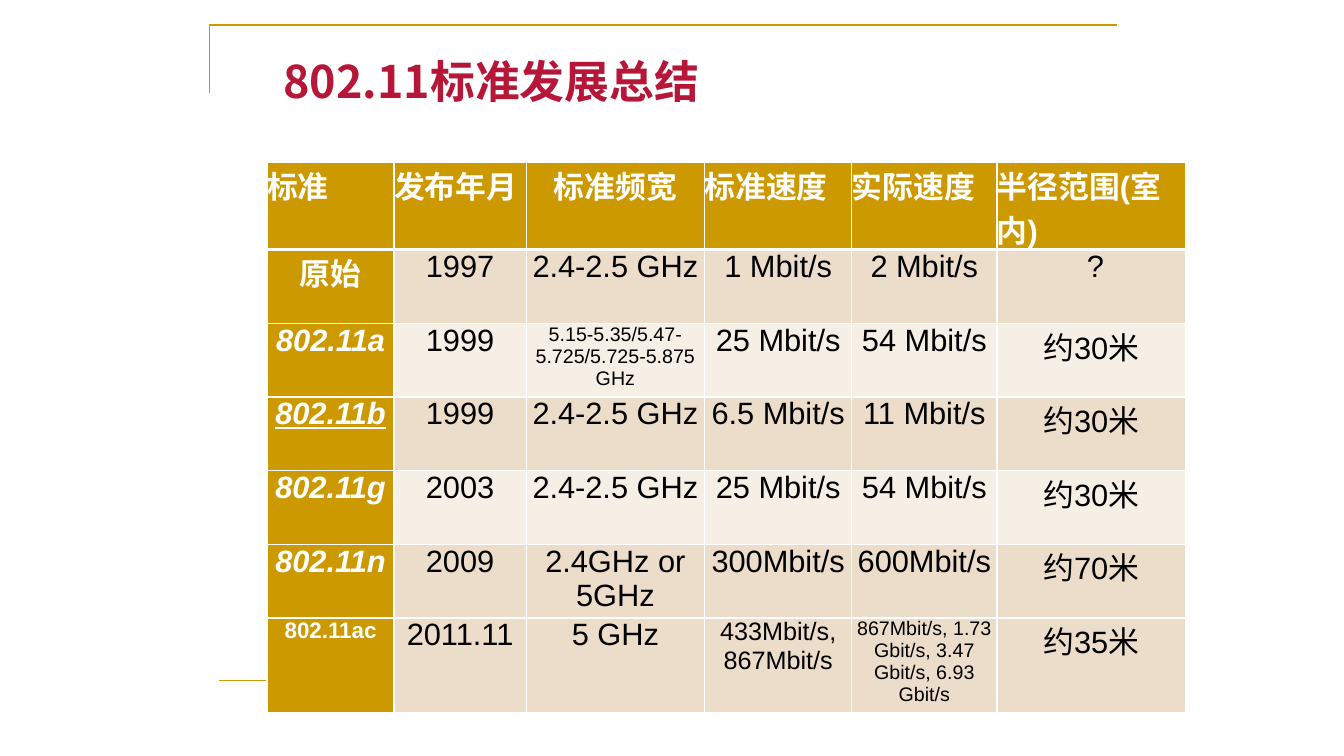
from dataclasses import dataclass

from lxml import etree
from pptx import Presentation
from pptx import util as u
from pptx.dml.color import RGBColor
from pptx.enum import shapes, text
from pptx.oxml.ns import qn


@dataclass(frozen=True)
class Theme:
    """Colours, fonts and type sizes of the slide."""
    gold: str = "CC9900"
    red: str = "B61638"
    white: str = "FFFFFF"
    black: str = "000000"
    bands: tuple = ("ECDDCA", "F6EFE6")
    title_font: str = "Noto Sans CJK SC"
    body_font: str = "Arial"
    title: int = 32
    body: int = 22
    medium: int = 18
    small: int = 16
    tiny: int = 14
    thin: int = 1
    thick: int = 3


class SlideBuilder:
    """Draws elements with lengths in percent of the slide's size."""

    def __init__(self, deck, theme):
        """Add a title-only slide to the deck."""
        self.deck, self.theme = deck, theme
        self.slide = deck.slides.add_slide(deck.slide_layouts[5])

    def across(self, share):
        """Turn a percentage of the slide width into a length."""
        return u.Emu(round(self.deck.slide_width * share / 100))

    def down(self, share):
        """Turn a percentage of the slide height into a length."""
        return u.Emu(round(self.deck.slide_height * share / 100))

    def apply(self, target, **values):
        """Set each named attribute on the target."""
        for name, value in values.items():
            setattr(target, name, value)

    def add_span(self, para, words, color, **style):
        """Add a formatted span to a paragraph."""
        span = para.add_run()
        span.text = words
        self.apply(span.font, **style)
        span.font.color.rgb = RGBColor.from_string(color)
        return span

    def stroke(self, line):
        """Give a line the accent colour and thin width."""
        line.color.rgb = RGBColor.from_string(self.theme.gold)
        line.width = u.Pt(self.theme.thin)

    def title(self, words, left, top, width, height):
        """Place and format the title placeholder."""
        box = self.slide.shapes.title
        self.apply(box, left=self.across(left), top=self.down(top),
                   width=self.across(width), height=self.down(height))
        frame = box.text_frame
        inset = u.Inches(0.05)
        self.apply(frame, margin_left=inset, margin_right=inset, margin_top=inset,
                   margin_bottom=inset, word_wrap=True,
                   vertical_anchor=text.MSO_ANCHOR.TOP,
                   auto_size=text.MSO_AUTO_SIZE.SHAPE_TO_FIT_TEXT)
        para = frame.paragraphs[0]
        self.apply(para, alignment=text.PP_ALIGN.LEFT, line_spacing=1.4,
                   space_before=u.Pt(19))
        span = self.add_span(para, words, self.theme.red, bold=True,
                             size=u.Pt(self.theme.title), name=self.theme.title_font)
        etree.SubElement(span.font._element, qn("a:ea"), typeface=self.theme.title_font)

    def outline(self, points):
        """Draw an open, unfilled outline through the points."""
        start, *rest = [(self.across(x), self.down(y)) for x, y in points]
        builder = self.slide.shapes.build_freeform(*start)
        builder.add_line_segments(rest, close=False)
        shape = builder.convert_to_shape()
        shape.shadow.inherit = False
        shape.fill.background()
        self.stroke(shape.line)

    def rule(self, left, right, y):
        """Draw a horizontal line."""
        line = self.slide.shapes.add_connector(
            shapes.MSO_CONNECTOR.STRAIGHT,
            self.across(left), self.down(y), self.across(right), self.down(y))
        self.stroke(line.line)
        etree.SubElement(line._element.spPr, qn("a:effectLst"))

    def borders(self, cell, bottom):
        """Draw white borders on the four sides of a cell."""
        properties = cell._tc.get_or_add_tcPr()
        for place, side in enumerate(("lnL", "lnR", "lnT", "lnB")):
            width = bottom if side == "lnB" else self.theme.thin
            edge = etree.Element(qn(f"a:{side}"), w=str(u.Pt(width)))
            fill = etree.SubElement(edge, qn("a:solidFill"))
            etree.SubElement(fill, qn("a:srgbClr"), val=self.theme.white)
            properties.insert(place, edge)

    def cell(self, cell, words, fill, color, bottom, centred, **style):
        """Fill one table cell with formatted text."""
        self.apply(cell, margin_left=0, margin_right=0, margin_top=0, margin_bottom=0)
        cell.fill.solid()
        cell.fill.fore_color.rgb = RGBColor.from_string(fill)
        self.borders(cell, bottom)
        para = cell.text_frame.paragraphs[0]
        para.alignment = text.PP_ALIGN.CENTER if centred else text.PP_ALIGN.LEFT
        self.add_span(para, words, color, name=self.theme.body_font, **style)

    def table(self, rows, left, top, widths, heights, special):
        """Draw a table with a gold header row and first column."""
        theme = self.theme
        table = self.slide.shapes.add_table(
            len(rows), len(widths), self.across(left), self.down(top),
            self.across(sum(widths)), self.down(sum(heights))).table
        for column, width in zip(table.columns, widths):
            column.width = self.across(width)
        for r, (row, height) in enumerate(zip(rows, heights)):
            table.rows[r].height = self.down(height)
            band = theme.bands[1 if r in (2, 4) else 0]
            for c, words in enumerate(row):
                heading = r == 0 or c == 0
                style = {"size": theme.body, "bold": heading, **special.get(words, {})}
                style["size"] = u.Pt(style["size"])
                self.cell(table.cell(r, c), words, theme.gold if heading else band,
                          theme.white if heading else theme.black,
                          theme.thick if r == 0 else theme.thin,
                          r > 0 or c == 2, **style)


ROWS = [
    ("标准", "发布年月", "标准频宽", "标准速度", "实际速度", "半径范围(室内)"),
    ("原始", "1997", "2.4-2.5 GHz", "1 Mbit/s", "2 Mbit/s", " ?"),
    ("802.11a", "1999", "5.15-5.35/5.47-5.725/5.725-5.875 GHz", "25 Mbit/s",
     "54 Mbit/s", "约30米"),
    ("802.11b", "1999", "2.4-2.5 GHz", "6.5 Mbit/s", "11 Mbit/s", "约30米"),
    ("802.11g", "2003", "2.4-2.5 GHz", "25 Mbit/s", "54 Mbit/s", "约30米"),
    ("802.11n", "2009", "2.4GHz or 5GHz", "300Mbit/s", "600Mbit/s", "约70米"),
    ("802.11ac", "2011.11", "5 GHz", "433Mbit/s, 867Mbit/s",
     "867Mbit/s, 1.73 Gbit/s, 3.47 Gbit/s, 6.93 Gbit/s", "约35米"),
]


def main():
    """Build the slide and save it."""
    deck = Presentation()
    deck.slide_width, deck.slide_height = u.Inches(13.33), u.Inches(7.5)
    theme = Theme()
    page = SlideBuilder(deck, theme)
    page.outline([(15.6, 12.27), (15.6, 3.33), (83.1, 3.33)])
    page.rule(16.27, 83.8, 90)
    page.title("802.11标准发展总结", 20.7, 3.6, 60, 9.6)
    special = {name: {"italic": True} for name in ("802.11a", "802.11g", "802.11n")}
    special |= {
        "802.11b": {"italic": True, "underline": True},
        "802.11ac": {"size": theme.small},
        ROWS[2][2]: {"size": theme.tiny},
        ROWS[6][3]: {"size": theme.medium},
        ROWS[6][4]: {"size": theme.tiny},
    }
    page.table(ROWS, 19.87, 21.53, [9.45, 9.83, 13.28, 10.95, 10.8, 14.03],
               [11.47, 9.8, *[9.73] * 4, 12.4], special)
    deck.save("out.pptx")


if __name__ == "__main__":
    main()
